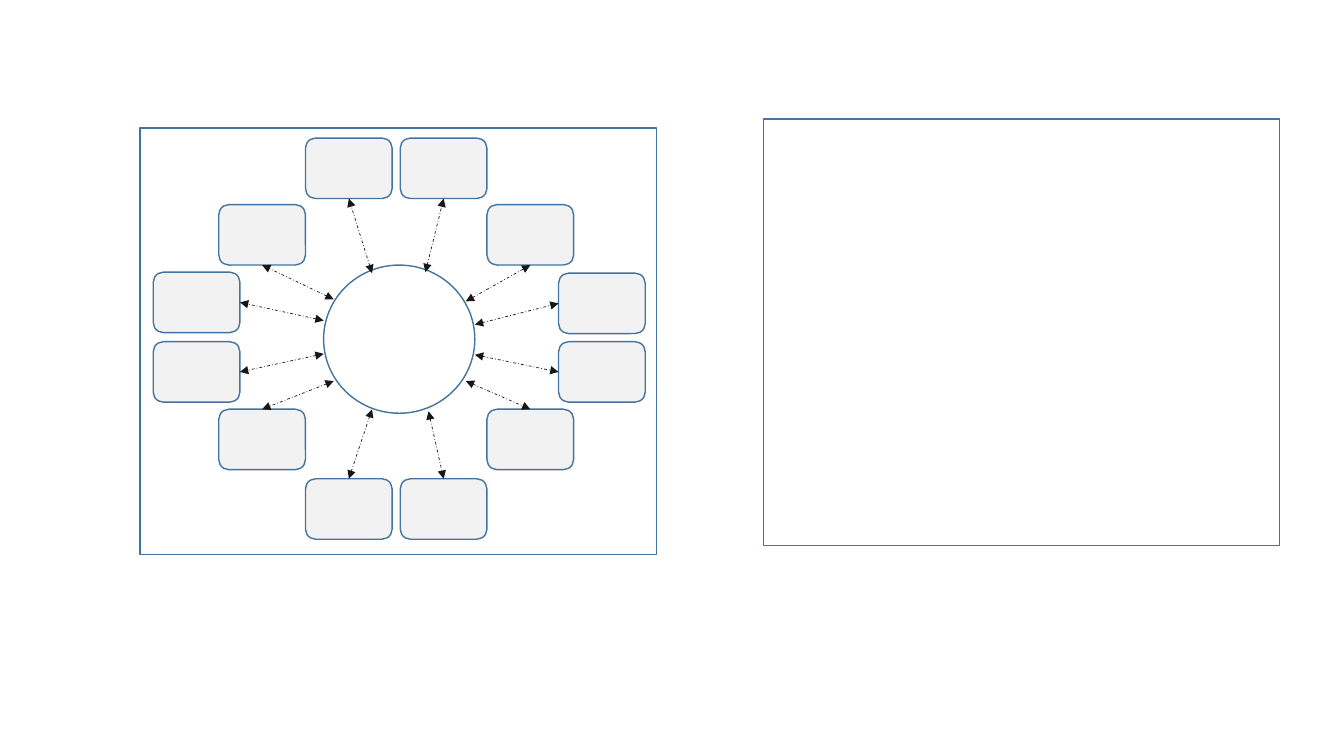
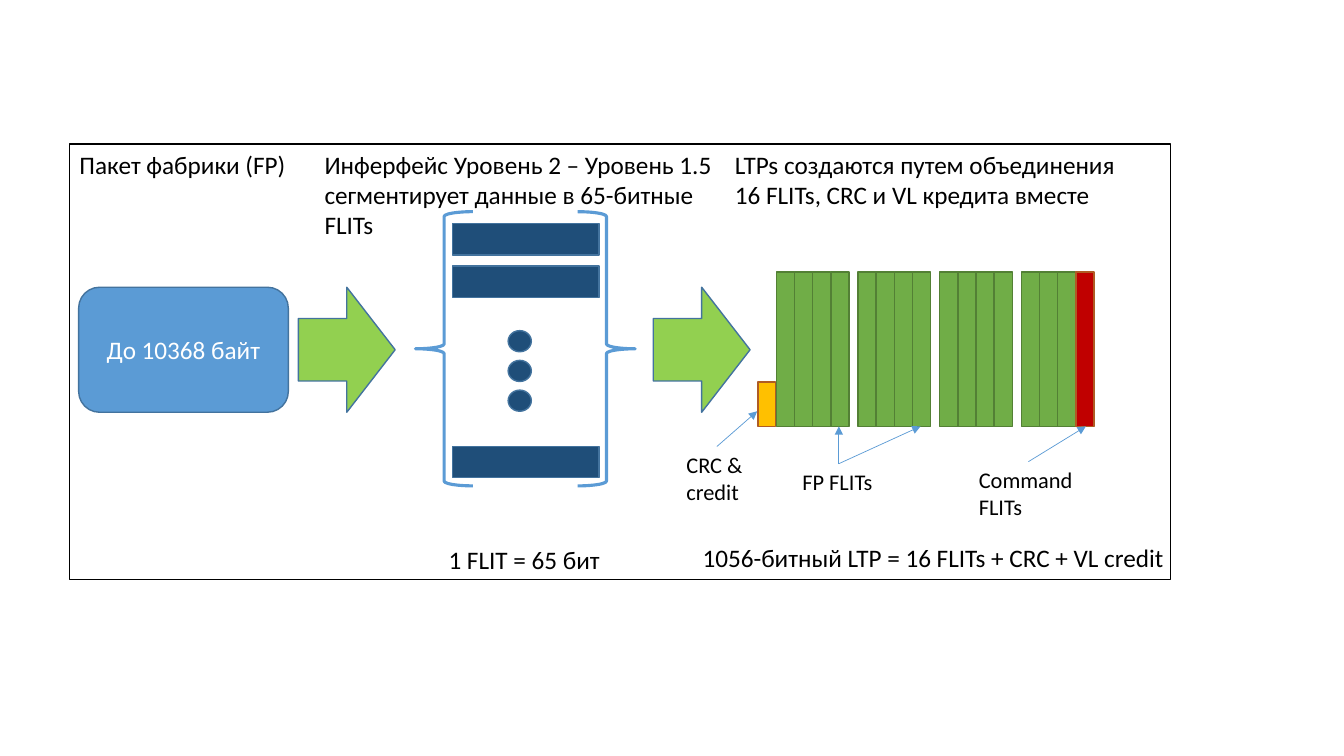
import pptx
import pptx.dml.color
import pptx.enum.dml
import pptx.enum.shapes
import pptx.enum.text
import pptx.oxml.ns
import pptx.util
from lxml import etree

Inches = pptx.util.Inches
Pt = pptx.util.Pt
RGBColor = pptx.dml.color.RGBColor
MSO_SHAPE = pptx.enum.shapes.MSO_SHAPE
PP_ALIGN = pptx.enum.text.PP_ALIGN
MSO_AUTO_SIZE = pptx.enum.text.MSO_AUTO_SIZE
qn = pptx.oxml.ns.qn

WHITE = RGBColor(0xFF, 0xFF, 0xFF)
BLACK = RGBColor(0x00, 0x00, 0x00)
INK = RGBColor(0x18, 0x17, 0x17)
PALE_GRAY = RGBColor(0xF2, 0xF2, 0xF2)
BLUE = RGBColor(0x5B, 0x9B, 0xD5)
BLUE_EDGE = RGBColor(0x43, 0x73, 0x9E)
NAVY = RGBColor(0x1F, 0x4E, 0x79)
LIME = RGBColor(0x92, 0xD0, 0x50)
GREEN = RGBColor(0x70, 0xAD, 0x47)
GREEN_EDGE = RGBColor(0x53, 0x80, 0x35)
RED = RGBColor(0xC0, 0x00, 0x00)
GOLD = RGBColor(0xFF, 0xC0, 0x00)
RUST = RGBColor(0xAF, 0x5C, 0x24)

# Connection sites of a rectangle
TOP, LEFT, BOTTOM, RIGHT = range(4)


def write_text(tf, text, size=18, color=BLACK, align=PP_ALIGN.LEFT, font="Calibri"):
    p = tf.paragraphs[0]
    p.alignment = align
    r = p.add_run()
    r.text = text
    r.font.name = font
    r.font.size = Pt(size)
    r.font.color.rgb = color


class Deck:
    """Holds the presentation, its style and the group being drawn on the current slide."""

    def __init__(self):
        self.prs = pptx.Presentation()
        self.prs.slide_width = Inches(13.33)
        self.prs.slide_height = Inches(7.5)

    def new_slide(self):
        self.slide = self.prs.slides.add_slide(self.prs.slide_layouts[6])
        self.shapes = self.slide.shapes.add_group_shape().shapes

    def leave_group(self):
        self.shapes = self.slide.shapes

    def shape(self, kind, x, y, w, h, fill=WHITE, line=BLUE_EDGE, weight=1):
        sp = self.shapes.add_shape(kind, Inches(x), Inches(y), Inches(w), Inches(h))
        sp.shadow.inherit = False
        if fill is None:
            sp.fill.background()
        else:
            sp.fill.solid()
            sp.fill.fore_color.rgb = fill
        sp.line.color.rgb = line
        sp.line.width = Pt(weight)
        return sp

    def rect(self, x, y, w, h, **style):
        return self.shape(MSO_SHAPE.RECTANGLE, x, y, w, h, **style)

    def text(self, text, x, y, w, h, wrap=True, **style):
        tf = self.shapes.add_textbox(Inches(x), Inches(y), Inches(w), Inches(h)).text_frame
        tf.word_wrap = wrap
        tf.auto_size = MSO_AUTO_SIZE.SHAPE_TO_FIT_TEXT
        write_text(tf, text, **style)

    def arrow(self, x1, y1, x2, y2, color=BLUE, dash=None, both_ends=False):
        cxn = self.shapes.add_connector(
            pptx.enum.shapes.MSO_CONNECTOR.STRAIGHT,
            Inches(x1), Inches(y1), Inches(x2), Inches(y2))
        cxn.line.color.rgb = color
        cxn.line.width = Pt(0.5)
        if dash is not None:
            cxn.line.dash_style = dash
        ln = cxn.line._get_or_add_ln()
        for tag in ["a:headEnd", "a:tailEnd"] if both_ends else ["a:tailEnd"]:
            etree.SubElement(ln, qn(tag)).set("type", "triangle")
        etree.SubElement(cxn._element.spPr, qn("a:effectLst"))
        return cxn


def draw_hub_slide(deck):
    deck.new_slide()
    frame_w, frame_h = 5.12, 4.23
    node_w, node_h = 0.86, 0.6
    deck.rect(1.39, 1.27, frame_w, frame_h)
    deck.shape(MSO_SHAPE.OVAL, 3.21, 2.63, 1.5, 1.47)

    # Node left and top, the side its arrow meets, and the arrow's point on the hub
    nodes = [
        (3.03, 1.37, BOTTOM, 3.69, 2.71),
        (3.97, 1.37, BOTTOM, 4.22, 2.7),
        (4.83, 2.03, BOTTOM, 4.62, 2.99),
        (5.54, 2.71, LEFT, 4.71, 3.22),
        (5.54, 3.39, LEFT, 4.71, 3.52),
        (4.83, 4.06, TOP, 4.62, 3.78),
        (3.97, 4.75, TOP, 4.25, 4.08),
        (3.03, 4.75, TOP, 3.69, 4.06),
        (2.17, 4.06, TOP, 3.31, 3.78),
        (1.52, 3.39, RIGHT, 3.21, 3.51),
        (1.52, 2.7, RIGHT, 3.21, 3.18),
        (2.17, 2.03, BOTTOM, 3.31, 2.97),
    ]
    for x, y, side, hub_x, hub_y in nodes:
        node = deck.shape(MSO_SHAPE.ROUNDED_RECTANGLE, x, y, node_w, node_h, fill=PALE_GRAY)
        cxn = deck.arrow(hub_x, hub_y, x, y, color=INK, both_ends=True,
                         dash=pptx.enum.dml.MSO_LINE.DASH_DOT)
        cxn.end_connect(node, side)

    deck.leave_group()
    deck.rect(7.57, 1.18, frame_w, frame_h)


def draw_packet_slide(deck):
    deck.new_slide()
    deck.rect(0.69, 1.43, 10.92, 4.32, line=BLACK)

    packet = deck.shape(MSO_SHAPE.ROUNDED_RECTANGLE, 0.78, 2.85, 2.08, 1.24, fill=BLUE)
    packet.text_frame.vertical_anchor = pptx.enum.text.MSO_ANCHOR.MIDDLE
    write_text(packet.text_frame, "До 10368 байт", color=WHITE, align=PP_ALIGN.CENTER)

    for x in (2.96, 6.48):
        deck.shape(MSO_SHAPE.RIGHT_ARROW, x, 2.85, 0.96, 1.24, fill=LIME)
    for x, rotation in ((4.12, 0), (5.73, 180)):
        brace = deck.shape(MSO_SHAPE.LEFT_BRACE, x, 2.1, 0.57, 2.72,
                           fill=None, line=BLUE, weight=2.25)
        brace.rotation = rotation
    for y in (2.22, 2.64, 4.43):
        deck.rect(4.49, y, 1.45, 0.31, fill=NAVY)
    for i in range(3):
        deck.shape(MSO_SHAPE.OVAL, 5.04, 3.28 + 0.295 * i, 0.23, 0.21, fill=NAVY)

    flit_count, per_block = 16, 4
    for i in range(flit_count):
        block, column = divmod(i, per_block)
        is_command = i == flit_count - 1
        deck.rect(7.7 + 0.81 * block + 0.18 * column, 2.7, 0.18, 1.53,
                  fill=RED if is_command else GREEN,
                  line=RUST if is_command else GREEN_EDGE)
    deck.rect(7.52, 3.79, 0.17, 0.44, fill=GOLD, line=RUST)

    deck.text("Пакет фабрики (FP)", 0.69, 1.43, 2.27, 0.4, wrap=False)
    deck.text("Инферфейс Уровень 2 – Уровень 1.5 сегментирует данные в 65-битные FLITs",
              3.12, 1.43, 4.08, 1.01)
    deck.text("LTPs создаются путем объединения 16 FLITs, CRC и VL кредита вместе",
              7.19, 1.43, 4.2, 0.71)
    deck.text("1 FLIT = 65 бит", 4.35, 5.35, 1.72, 0.4, wrap=False)
    deck.text("1056-битный LTP = 16 FLITs + CRC + VL credit",
              6.87, 5.33, 4.83, 0.4, wrap=False)
    deck.text("CRC & credit", 6.71, 4.43, 0.79, 0.64, size=16)
    deck.text("FP FLITs", 7.86, 4.6, 0.91, 0.37, wrap=False, size=16)
    deck.text("Command FLITs", 9.61, 4.58, 1.19, 0.64, size=16)

    for ends in ((7.11, 4.43, 7.51, 4.08), (8.32, 4.6, 8.32, 4.23),
                 (8.32, 4.6, 9.13, 4.23), (10.2, 4.58, 10.77, 4.23)):
        deck.arrow(*ends)


def main():
    deck = Deck()
    draw_hub_slide(deck)
    draw_packet_slide(deck)
    deck.prs.save("out.pptx")


if __name__ == "__main__":
    main()
